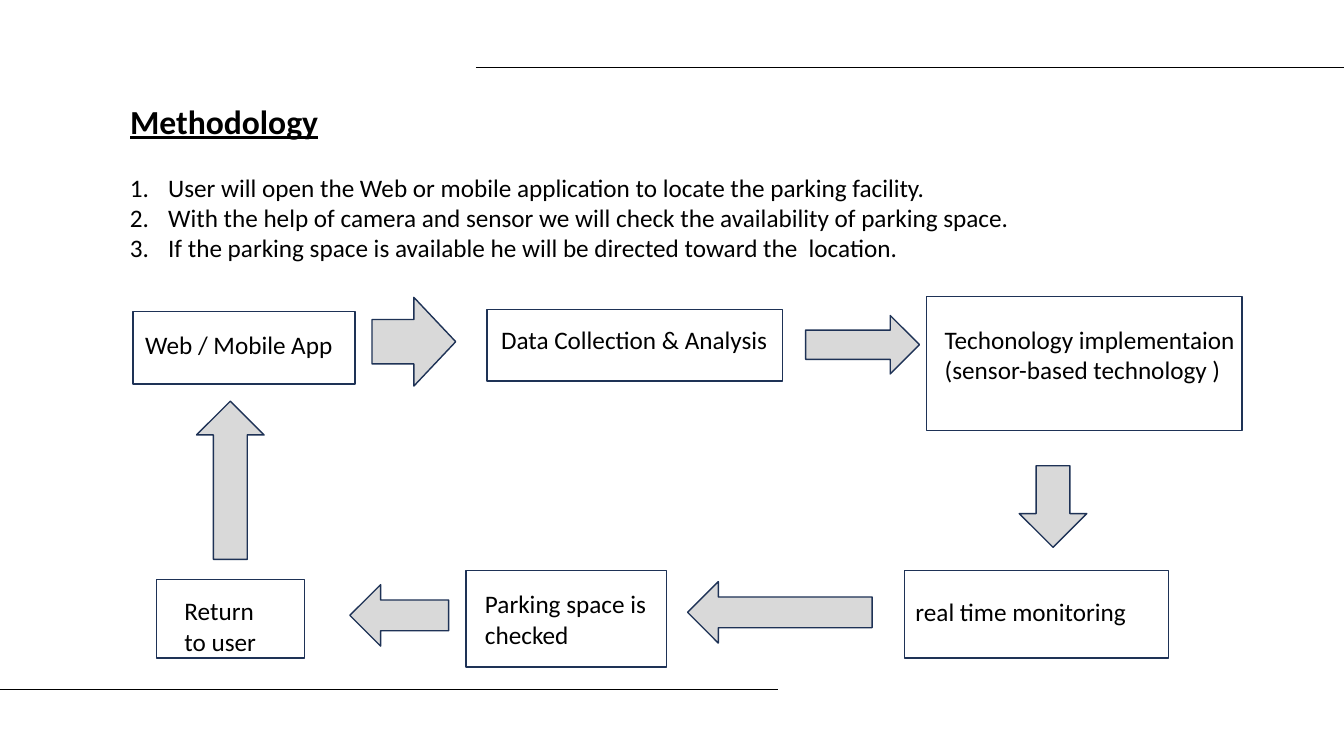
import pptx
import pptx.util
import pptx.dml.color
import pptx.enum.shapes
import pptx.enum.text
import pptx.oxml
import pptx.oxml.ns
from dataclasses import dataclass

Inches = pptx.util.Inches
Pt = pptx.util.Pt
RGB = pptx.dml.color.RGBColor
Kind = pptx.enum.shapes.MSO_SHAPE
Align = pptx.enum.text.PP_ALIGN
Anchor = pptx.enum.text.MSO_ANCHOR


@dataclass(frozen=True)
class Theme:
    face: str = "Calibri"
    ink: RGB = RGB(0, 0, 0)
    paper: RGB = RGB(255, 255, 255)
    edge: RGB = RGB(0x1E, 0x32, 0x56)
    arrow: RGB = RGB(0xD9, 0xD9, 0xD9)
    head: int = 24
    body: int = 18
    rule: float = 0.5
    border: float = 1


THEME = Theme()
WIDE, HIGH = 13.33, 7.5

STEPS = [
    "User will open the Web or mobile application to locate the parking facility.",
    "With the help of camera and sensor we will check the availability of parking space.",
    "If the parking space is available he will be directed toward the  location.",
]

# text, box, insets (left, top, right)
BOXES = [
    ("Web / Mobile App", (1.32, 3.09, 2.2, 0.72), (0.12, 0.18, 0)),
    ("Data Collection & Analysis", (4.83, 3.07, 2.93, 0.71), (0.14, 0.15, 0)),
    ("Techonology implementaion (sensor-based technology )",
     (9.19, 2.94, 3.13, 1.33), (0.18, 0.28, 0)),
    ("real time monitoring", (8.97, 5.66, 2.62, 0.87), (0.11, 0.26, 0)),
    ("Parking space is checked", (4.62, 5.66, 1.99, 0.96), (0.19, 0.18, 0)),
    ("Return to user", (1.55, 5.75, 1.47, 0.78), (0.28, 0.16, 0.3)),
]

ARROWS = [
    (Kind.RIGHT_ARROW, (3.69, 2.95, 0.83, 0.88)),
    (Kind.RIGHT_ARROW, (7.99, 3.13, 1.13, 0.58)),
    (Kind.DOWN_ARROW, (10.11, 4.62, 0.67, 0.81)),
    (Kind.LEFT_ARROW, (6.82, 5.77, 1.83, 0.61)),
    (Kind.LEFT_ARROW, (3.47, 5.8, 0.98, 0.61)),
    (Kind.UP_ARROW, (1.95, 3.98, 0.67, 1.57)),
]


def inches(*sizes):
    return [Inches(size) for size in sizes]


def style(par, size, bold=False):
    par.alignment = Align.LEFT
    font = par.font
    font.name, font.size, font.bold = THEME.face, Pt(size), bold
    font.color.rgb = THEME.ink


def inset(frame, left=0.1, top=0.05, right=0.1):
    frame.word_wrap = True
    frame.vertical_anchor = Anchor.TOP
    frame.margin_left, frame.margin_top, frame.margin_right = inches(left, top, right)
    frame.margin_bottom = 0


def rule(slide, start, end, y):
    line = slide.shapes.add_connector(
        pptx.enum.shapes.MSO_CONNECTOR.STRAIGHT, *inches(start, y, end, y))
    line.line.color.rgb = THEME.ink
    line.line.width = Pt(THEME.rule)
    pptx.oxml.ns.qn("a:effectLst")
    props = line._element.spPr
    props.append(props.makeelement(pptx.oxml.ns.qn("a:effectLst"), {}))


def title(slide, text, box):
    shape = slide.shapes.title
    shape.left, shape.top, shape.width, shape.height = inches(*box)
    inset(shape.text_frame)
    shape.text_frame.text = text
    par = shape.text_frame.paragraphs[0]
    style(par, THEME.head, True)
    par.font.underline = True


def steps(slide, items, box):
    frame = slide.shapes.add_textbox(*inches(*box)).text_frame
    inset(frame)
    for index, item in enumerate(items):
        par = frame.add_paragraph() if index else frame.paragraphs[0]
        par.text = item
        props = par._p.get_or_add_pPr()
        props.set("marL", str(Inches(0.38)))
        props.set("indent", str(-Inches(0.38)))
        props.append(props.makeelement(
            pptx.oxml.ns.qn("a:buAutoNum"), {"type": "arabicPeriod"}))
        style(par, THEME.body)


def block(slide, kind, box, fill):
    shape = slide.shapes.add_shape(kind, *inches(*box))
    shape.shadow.inherit = False
    shape.fill.solid()
    shape.fill.fore_color.rgb = fill
    shape.line.color.rgb = THEME.edge
    shape.line.width = Pt(THEME.border)
    return shape


def flow(slide, left, top):
    def place(box):
        return (left + box[0], top + box[1], *box[2:])

    for text, box, gaps in BOXES:
        frame = block(slide, Kind.RECTANGLE, place(box), THEME.paper).text_frame
        inset(frame, *gaps)
        frame.text = text
        style(frame.paragraphs[0], THEME.body)
    for kind, box in ARROWS:
        block(slide, kind, place(box), THEME.arrow)


def main():
    deck = pptx.Presentation()
    deck.slide_width, deck.slide_height = inches(WIDE, HIGH)
    slide = deck.slides.add_slide(deck.slide_layouts[5])
    rule(slide, 4.72, WIDE, 0.67)
    rule(slide, 0, 7.72, 6.84)
    title(slide, "Methodology", (1.19, 0.95, 10.06, 0.5))
    steps(slide, STEPS, (1.19, 1.66, 10.06, 1.07))
    flow(slide, 0, 0)
    deck.save("out.pptx")


if __name__ == "__main__":
    main()
